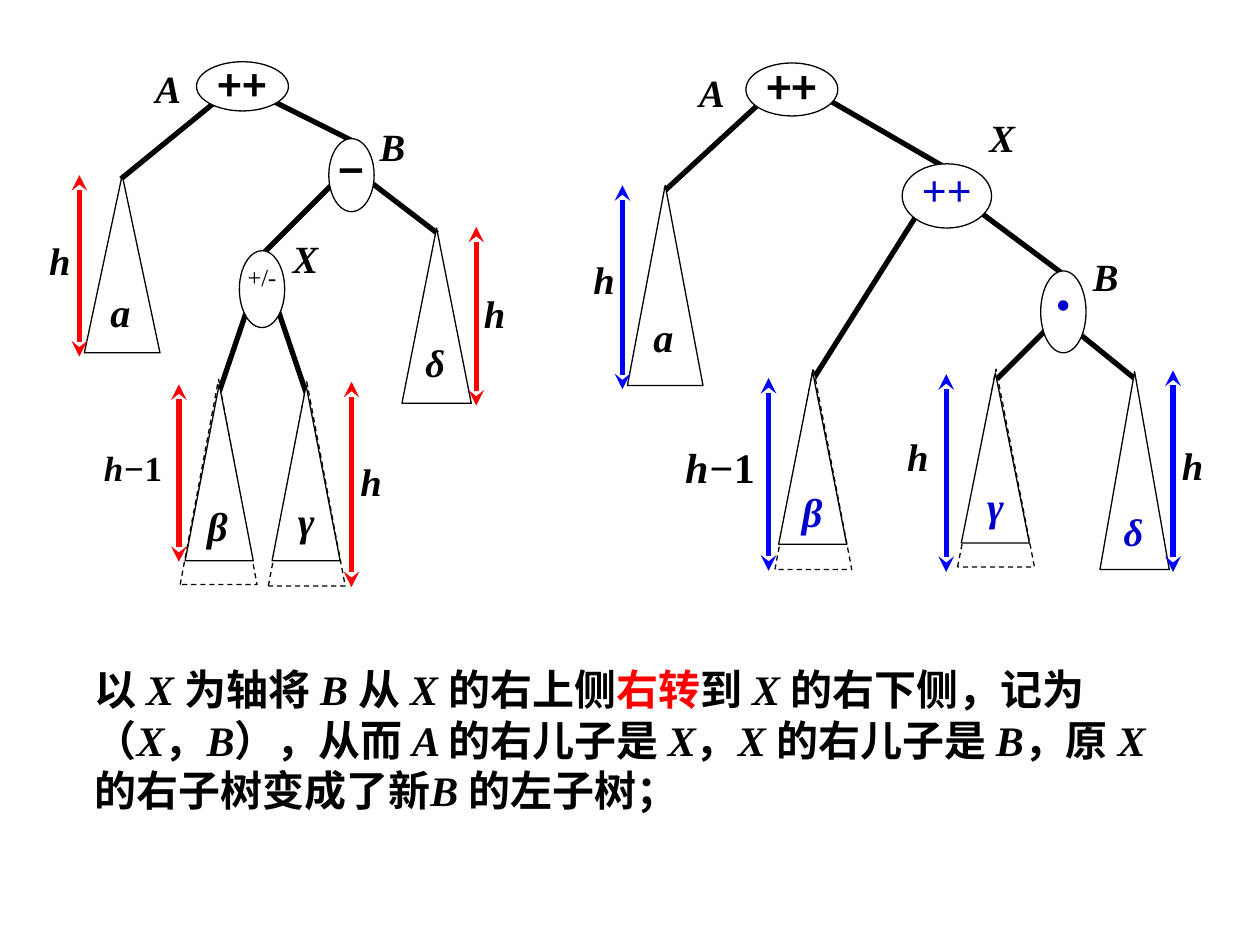
import typing

import pptx
import pptx.dml.color
import pptx.enum.dml
import pptx.enum.shapes
import pptx.enum.text
import pptx.oxml
import pptx.oxml.ns
import pptx.util

COLUMNS, ROWS = 100, 75
SERIF, SANS = "Times New Roman", "Noto Sans CJK SC"
BLACK, WHITE, RED, BLUE, NAVY = "000000", "FFFFFF", "FF0000", "0000FF", "0000CC"
ITALIC_TEXTS = set("ABXhaβγδ") | {"h−"}
SHAPES = pptx.enum.shapes.MSO_SHAPE

presentation = pptx.Presentation()
presentation.slide_width = pptx.util.Inches(10)
presentation.slide_height = pptx.util.Inches(7.5)


class Edge(typing.NamedTuple):
    x1: float
    y1: float
    x2: float
    y2: float


class Box(typing.NamedTuple):
    left: float
    top: float
    width: float
    height: float


class Node(typing.NamedTuple):
    box: Box
    text: str
    size: float
    font: str = SANS
    bold: bool = True
    color: str = BLACK
    spacing: float = 0.9
    bottom_inset: float = 0


class Subtree(typing.NamedTuple):
    box: Box
    dashed: bool = False


class Label(typing.NamedTuple):
    box: Box
    texts: tuple[str, ...]
    size: float = 22
    color: str = BLACK


class Height(typing.NamedTuple):
    column: float
    top: float
    bottom: float


class Tree(typing.NamedTuple):
    arrow_color: str
    edges: list[Edge]
    nodes: list[Node]
    subtrees: list[Subtree]
    labels: list[Label]
    heights: list[Height]


def across(columns: float) -> int:
    return round(presentation.slide_width * columns / COLUMNS)


def down(rows: float) -> int:
    return round(presentation.slide_height * rows / ROWS)


def rgb(color: str) -> pptx.dml.color.RGBColor:
    return pptx.dml.color.RGBColor.from_string(color)


def place(box: Box) -> tuple[int, int, int, int]:
    return across(box.left), down(box.top), across(box.width), down(box.height)


def add_run(paragraph, text: str, size: float, color: str, font: str = SERIF, bold: bool = True) -> None:
    run = paragraph.add_run()
    run.text = text
    run.font.size = pptx.util.Pt(size)
    run.font.name = font
    run.font.bold = bold
    run.font.italic = text.strip() in ITALIC_TEXTS
    run.font.color.rgb = rgb(color)
    east_asian = pptx.oxml.parse_xml(
        f'<a:ea {pptx.oxml.ns.nsdecls("a")} typeface="{SANS}"/>')
    run.font._element.find(pptx.oxml.ns.qn("a:latin")).addnext(east_asian)


def add_outline(shapes, kind, box: Box, outlined: bool = True):
    shape = shapes.add_shape(kind, *place(box))
    shape.shadow.inherit = False
    shape.fill.solid()
    shape.fill.fore_color.rgb = rgb(WHITE)
    if outlined:
        shape.line.color.rgb = rgb(BLACK)
        shape.line.width = pptx.util.Pt(0.75)
    else:
        shape.line.fill.background()
    return shape


def prepare_text(shape, spacing: float = 0.9, bottom_inset: float = 0):
    frame = shape.text_frame
    frame.margin_left = frame.margin_right = frame.margin_top = 0
    frame.margin_bottom = down(bottom_inset)
    frame.word_wrap = False
    frame.vertical_anchor = pptx.enum.text.MSO_ANCHOR.TOP
    paragraph = frame.paragraphs[0]
    paragraph.alignment = pptx.enum.text.PP_ALIGN.CENTER
    paragraph.line_spacing = spacing
    return paragraph


def draw_line(shapes, edge: Edge, color: str = BLACK):
    connector = shapes.add_connector(
        pptx.enum.shapes.MSO_CONNECTOR.STRAIGHT,
        across(edge.x1), down(edge.y1), across(edge.x2), down(edge.y2))
    connector.line.color.rgb = rgb(color)
    connector.line.width = pptx.util.Pt(3)
    connector._element.spPr.append(pptx.oxml.parse_xml(
        f'<a:effectLst {pptx.oxml.ns.nsdecls("a")}/>'))
    return connector


def draw_height(shapes, height: Height, color: str) -> None:
    edge = Edge(height.column, height.top, height.column, height.bottom)
    line = draw_line(shapes, edge, color).line._get_or_add_ln()
    for end in ("headEnd", "tailEnd"):
        line.append(pptx.oxml.parse_xml(
            f'<a:{end} {pptx.oxml.ns.nsdecls("a")} type="stealth"/>'))


def draw_node(shapes, node: Node) -> None:
    shape = add_outline(shapes, SHAPES.OVAL, node.box)
    paragraph = prepare_text(shape, node.spacing, node.bottom_inset)
    add_run(paragraph, node.text, node.size, node.color, node.font, node.bold)


def draw_subtree(shapes, subtree: Subtree) -> None:
    shape = add_outline(shapes, SHAPES.ISOSCELES_TRIANGLE, subtree.box)
    if subtree.dashed:
        shape.line.dash_style = pptx.enum.dml.MSO_LINE.DASH


def draw_label(shapes, label: Label) -> None:
    paragraph = prepare_text(add_outline(shapes, SHAPES.RECTANGLE, label.box, False))
    for text in label.texts:
        add_run(paragraph, text, label.size, label.color)


def draw_tree(slide, tree: Tree) -> None:
    shapes = slide.shapes.add_group_shape().shapes
    for edge in tree.edges:
        draw_line(shapes, edge)
    for node in tree.nodes:
        draw_node(shapes, node)
    for subtree in tree.subtrees:
        draw_subtree(shapes, subtree)
    for label in tree.labels:
        draw_label(shapes, label)
    for height in tree.heights:
        draw_height(shapes, height, tree.arrow_color)


def draw_explanation(slide, box: Box, texts: list[str]) -> None:
    frame = slide.shapes.add_textbox(*place(box)).text_frame
    frame.word_wrap = True
    frame.margin_left = frame.margin_right = 0
    for text in texts:
        add_run(frame.paragraphs[0], text, 24, RED if text == "右转" else BLACK)


BEFORE = Tree(
    RED,
    [Edge(17.2, 8, 9.6, 14.2), Edge(26.3, 14.7, 20.7, 20.3), Edge(19.5, 24.9, 17.4, 31.1),
     Edge(22.1, 24.7, 24.3, 31.2), Edge(21, 7.7, 28, 11.2), Edge(29.6, 14.6, 34.7, 18.5)],
    [Node(Box(15.6, 4.9, 7.3, 3.9), "++", 24, spacing=0.8),
     Node(Box(26.1, 11, 3.6, 5.8), "−", 25),
     Node(Box(19, 19.9, 3.6, 6.1), "+/-", 14, SERIF, False, spacing=1)],
    [Subtree(Box(14.3, 30.1, 6.1, 16.3), True), Subtree(Box(14.7, 30.5, 5.4, 14)),
     Subtree(Box(21.3, 30.3, 6.1, 16.2), True), Subtree(Box(21.6, 30.6, 5.4, 13.9)),
     Subtree(Box(31.9, 18.1, 5.5, 13.9)), Subtree(Box(6.7, 13.9, 6, 14.1))],
    [Label(Box(12.3, 5.6, 2.1, 3.1), ("A",)), Label(Box(30.1, 10.2, 2.1, 3.1), ("B",)),
     Label(Box(23.2, 19.1, 2.1, 3.1), ("X",)), Label(Box(3.7, 19.2, 2.1, 3.1), ("h",)),
     Label(Box(28.4, 36.8, 2.1, 3.1), ("h",)), Label(Box(38.2, 23.4, 2.1, 3.1), ("h",)),
     Label(Box(8, 35.8, 5.1, 3.1), ("h−", "1"), 20), Label(Box(8.5, 23.2, 2.1, 3.1), ("a",), 23),
     Label(Box(16, 40.2, 2.5, 3.1), ("β",), 23), Label(Box(23.2, 39.8, 2.2, 3.5), ("γ",), 23),
     Label(Box(33.5, 27.3, 2.1, 3.1), ("δ",))],
    [Height(14.2, 30.5, 44.6), Height(37.8, 18, 32.2), Height(27.9, 30.3, 46.6),
     Height(6.3, 13.9, 28.3)])

AFTER = Tree(
    BLUE,
    [Edge(78, 17, 84.3, 21.7), Edge(60.4, 8.1, 52.8, 15.1), Edge(72.8, 17, 64.6, 30),
     Edge(65.7, 7.9, 75.2, 13.4), Edge(83, 26.2, 79.1, 30.1), Edge(85.8, 26.6, 90, 30)],
    [Node(Box(59.2, 5, 7.3, 4.2), "++", 25, spacing=0.8),
     Node(Box(71.6, 13, 7.1, 5.1), "++", 25, SERIF, color=NAVY, spacing=0.8, bottom_inset=0.8),
     Node(Box(82.6, 21.5, 3.6, 6.5), "•", 25, SERIF, False, NAVY)],
    [Subtree(Box(49.8, 14.7, 6, 15.9)), Subtree(Box(61.5, 29.2, 6.1, 16), True),
     Subtree(Box(61.8, 29.5, 5.4, 13.7)), Subtree(Box(87.3, 29.5, 5.5, 15.7)),
     Subtree(Box(76, 29.3, 6.1, 15.7), True), Subtree(Box(76.3, 29.6, 5.4, 13.5))],
    [Label(Box(55.1, 5.9, 2.8, 3.5), ("A",)), Label(Box(78.5, 9.5, 2.1, 3.5), ("X",)),
     Label(Box(86.7, 20.5, 2.1, 3.5), ("B",)), Label(Box(46.9, 20.7, 2.1, 3.5), ("h",)),
     Label(Box(71.8, 34.8, 2.1, 3.5), ("h",)), Label(Box(93.6, 35.5, 2.1, 3.5), ("h",)),
     Label(Box(54.3, 35.5, 5.7, 3.5), ("h−", "1"), 24), Label(Box(51.6, 25.2, 2.1, 3.5), ("a",), 23),
     Label(Box(63.2, 39.1, 2.5, 3.1), ("β",), 23, NAVY),
     Label(Box(77.9, 38.6, 2.2, 3.4), ("γ",), 23, NAVY),
     Label(Box(88.9, 40.7, 2.1, 3.5), ("δ",), 22, NAVY)],
    [Height(49.4, 14.7, 30.9), Height(61, 30, 45.3), Height(93.1, 29.4, 45.4),
     Height(75.1, 29.7, 45.4)])

EXPLANATION = [
    "以 ", "X ", "为轴将 ", "B ", "从 ", "X ", "的右上侧", "右转", "到 ", "X ", "的右下侧，记为（",
    "X", "，", "B", "），从而 ", "A ", "的右儿子是 ", "X", "，", "X ", "的右儿子是 ", "B",
    "，原 ", "X ", "的右子树变成了新", "B ", "的左子树；"]

slide = presentation.slides.add_slide(presentation.slide_layouts[6])
for tree in (BEFORE, AFTER):
    draw_tree(slide, tree)
draw_explanation(slide, Box(7.5, 52.2, 85.1, 13), EXPLANATION)
presentation.save("out.pptx")
